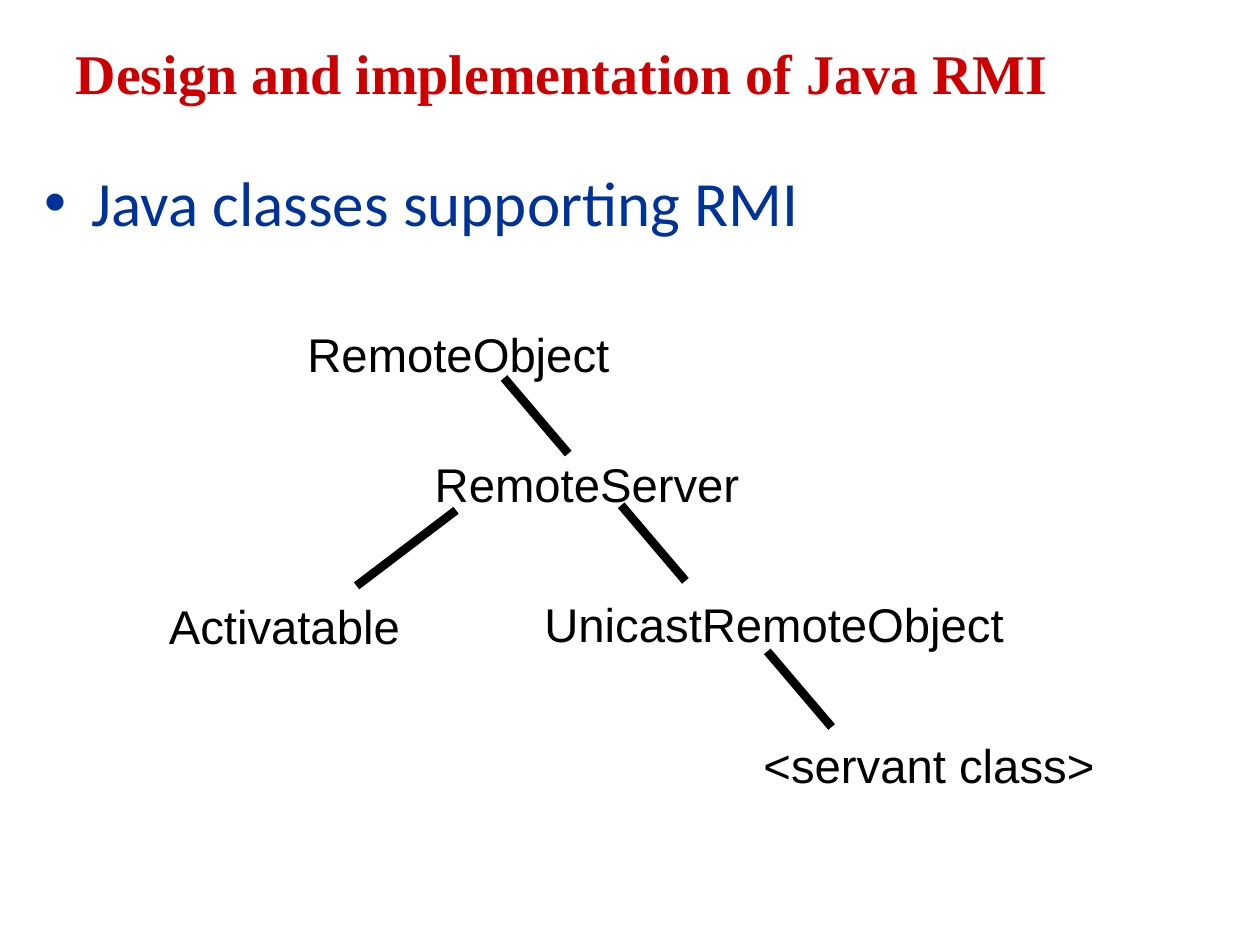
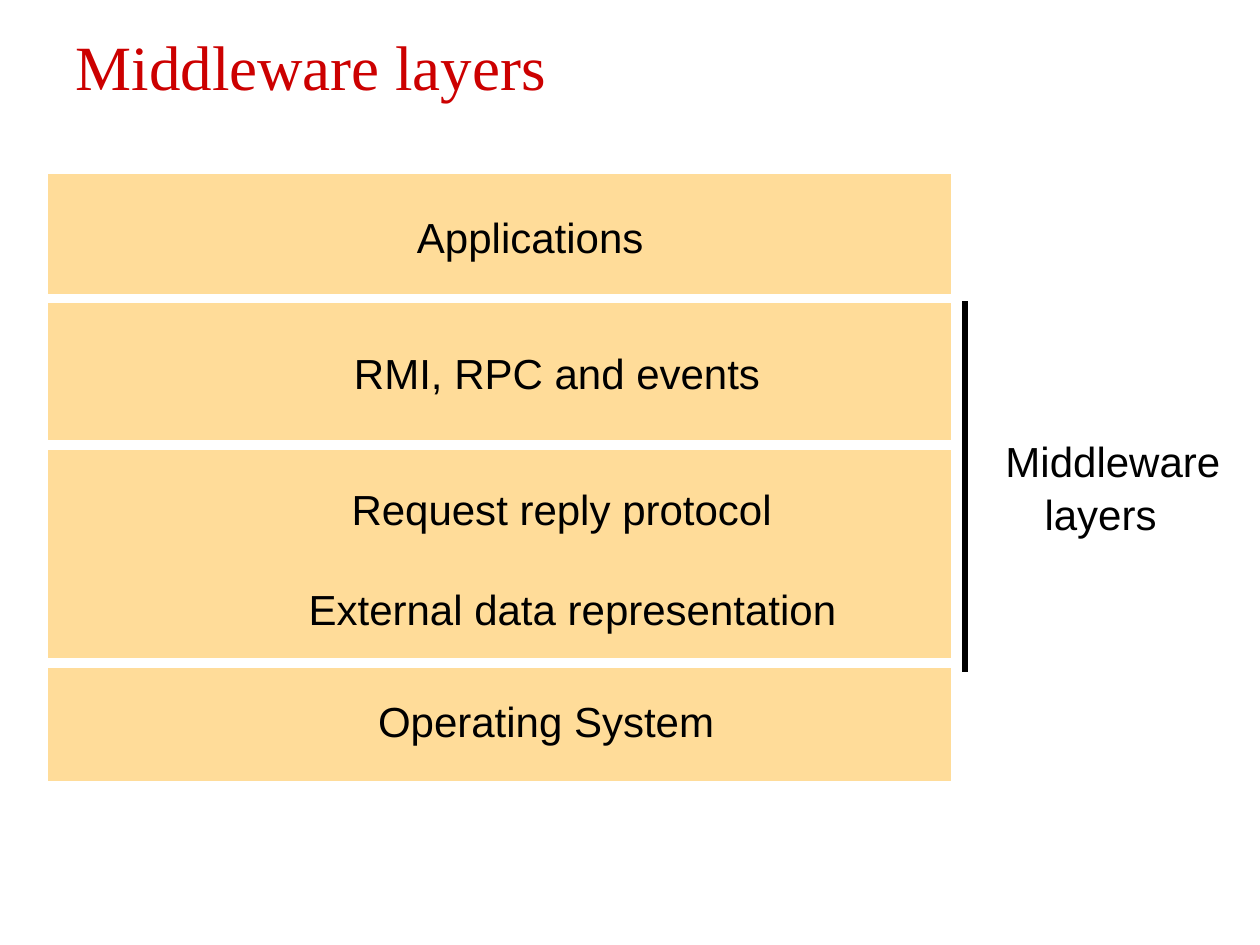
from pptx import Presentation
from pptx.dml.color import RGBColor
from pptx.enum.shapes import MSO_CONNECTOR, MSO_SHAPE
from pptx.enum.text import MSO_ANCHOR, MSO_AUTO_SIZE, PP_ALIGN
from pptx.oxml.ns import qn
from pptx.util import Inches, Pt
from lxml.etree import SubElement

COLORS = {"title": "CC0000", "body": "003399", "ink": "000000",
          "layer": "FFDC99", "gap": "FFFFFF"}

TREE = {
    "title": "Design and implementation of Java RMI",
    "bullet": "Java classes supporting RMI",
    # text, left, top, width
    "classes": [
        ("RemoteObject", 2.44, 2.58, 2.5),
        ("RemoteServer", 3.45, 3.61, 2.42),
        ("Activatable", 1.34, 4.74, 1.84),
        ("UnicastRemoteObject", 4.32, 4.72, 3.65),
        ("<servant class>", 6.06, 5.84, 2.63),
    ],
    # upper end of each link, and how far it runs sideways
    "links": [(4, 3, 0.51), (4.93, 4.01, 0.51),
              (6.09, 5.17, 0.51), (3.62, 4.05, -0.79)],
}
DROP = 0.6

STACK = {
    "title": "Middleware layers",
    "bar": (7.66, 2.39, 7.66, 5.33),
    # top, height; the first spans the stack, the others lie on it
    "panels": [(1.34, 4.9), (3.44, 1.82), (2.37, 1.16)],
    "labels": [
        ("Applications", 3.31, 1.68, 1.8),
        ("RMI, RPC and events", 2.81, 2.76, 3.24),
        ("Request reply protocol", 2.79, 3.84, 3.36),
        ("External data representation", 2.45, 4.63, 4.2),
        ("Operating System", 3, 5.52, 2.68),
        ("Middleware", 7.98, 3.46, 1.71),
        ("layers", 8.29, 3.88, 0.89),
    ],
}
PANEL_LEFT, PANEL_WIDTH = 0.34, 7.25


def color(name):
    return RGBColor.from_string(COLORS[name])


def style(para, face, size, tone, bold=False):
    para.alignment = PP_ALIGN.LEFT
    para.space_before = Pt(0)
    font = para.font
    font.name, font.size, font.bold = face, Pt(size), bold
    font.color.rgb = color(tone)


def fill_holder(holder, text, box, anchor):
    """Move a placeholder, set its text and return the paragraph."""
    holder.left, holder.top, holder.width, holder.height = map(Inches, box)
    frame = holder.text_frame
    frame.text = text
    frame.auto_size = MSO_AUTO_SIZE.NONE
    frame.vertical_anchor = anchor
    return frame.paragraphs[0]


def add_slide(deck, layout, title, top, height, size, bold):
    slide = deck.slides.add_slide(deck.slide_layouts.get_by_name(layout))
    para = fill_holder(slide.shapes.title, title, (0.5, top, 8.92, height),
                       MSO_ANCHOR.BOTTOM)
    style(para, "Times New Roman", size, "title", bold)
    return slide


def add_labels(slide, labels, height, size):
    for text, left, top, width in labels:
        box = slide.shapes.add_textbox(*map(Inches, (left, top, width, height)))
        frame = box.text_frame
        frame.margin_left = frame.margin_right = 0
        frame.margin_top = frame.margin_bottom = 0
        frame.word_wrap = False
        frame.auto_size = MSO_AUTO_SIZE.SHAPE_TO_FIT_TEXT
        frame.text = text
        style(frame.paragraphs[0], "Arial", size, "ink")


def add_line(slide, ends, weight):
    line = slide.shapes.add_connector(MSO_CONNECTOR.STRAIGHT,
                                      *map(Inches, ends))
    line.line.color.rgb = color("ink")
    line.line.width = Pt(weight)
    SubElement(line._element.spPr, qn("a:effectLst"))


def add_panel(slide, top, height):
    box = map(Inches, (PANEL_LEFT, top, PANEL_WIDTH, height))
    panel = slide.shapes.add_shape(MSO_SHAPE.RECTANGLE, *box)
    panel.shadow.inherit = False
    panel.fill.solid()
    panel.fill.fore_color.rgb = color("layer")
    panel.line.color.rgb = color("gap")
    panel.line.width = Pt(5.61)


def build_tree(deck):
    slide = add_slide(deck, "Title and Content", TREE["title"],
                      0.25, 0.64, 32, True)
    para = fill_holder(slide.placeholders[1], TREE["bullet"],
                       (0.25, 1.25, 9.5, 0.92), MSO_ANCHOR.TOP)
    style(para, "Calibri", 36, "body")
    add_labels(slide, TREE["classes"], 0.45, 27)
    for left, top, run in TREE["links"]:
        add_line(slide, (left, top, left + run, top + DROP), 5)


def build_stack(deck):
    slide = add_slide(deck, "Title Only", STACK["title"],
                      0.17, 0.7, 36, False)
    for top, height in STACK["panels"]:
        add_panel(slide, top, height)
    add_line(slide, STACK["bar"], 3.37)
    add_labels(slide, STACK["labels"], 0.4, 24)


def main():
    deck = Presentation()
    deck.slide_width, deck.slide_height = Inches(10), Inches(7.5)
    build_tree(deck)
    build_stack(deck)
    deck.save("out.pptx")


if __name__ == "__main__":
    main()
